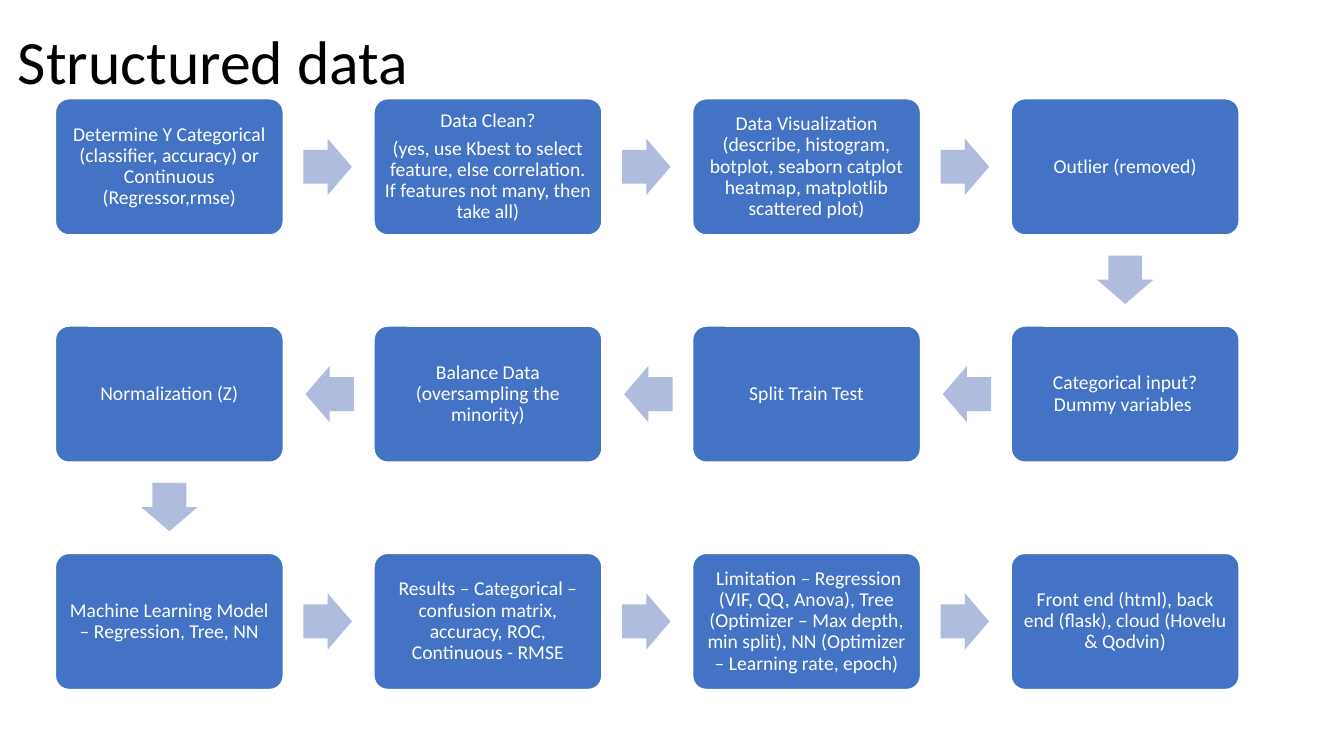
from dataclasses import dataclass

from pptx import Presentation
from pptx.dml.color import RGBColor
from pptx.enum.shapes import MSO_SHAPE
from pptx.enum.text import MSO_ANCHOR, PP_ALIGN
from pptx.slide import Slide
from pptx.text.text import TextFrame
from pptx.util import Inches, Pt

COLORS = {"title": "000000", "step": "4472C4", "arrow": "B0BCDE", "white": "FFFFFF"}
FONT = "Calibri"

# Grid of steps, in inches
LEFT, TOP = 0.55, 0.98
STEP_W, STEP_H = 2.26, 1.35
COLUMN_PITCH, ROW_PITCH = 3.16, 4.51 / 2
COLUMNS = 4
ARROW_W, ARROW_H = 0.48, 0.56
ARROW_REACH_X, ARROW_REACH_Y = 1.57, 1.12


@dataclass(frozen=True)
class Step:
    paragraphs: tuple[str, ...]


# Steps in reading order of the process
STEPS = [
    Step(("Determine Y Categorical (classifier, accuracy) or Continuous (Regressor,rmse)",)),
    Step(("Data Clean?",
          "(yes, use Kbest to select feature, else correlation. "
          "If features not many, then take all)")),
    Step(("Data Visualization (describe, histogram, botplot, seaborn catplot heatmap, "
          "matplotlib scattered plot)",)),
    Step(("Outlier (removed)",)),
    Step(("Categorical input? Dummy variables ",)),
    Step(("Split Train Test",)),
    Step(("Balance Data (oversampling the minority)",)),
    Step(("Normalization (Z)",)),
    Step(("Machine Learning Model – Regression, Tree, NN",)),
    Step(("Results – Categorical – confusion matrix, accuracy, ROC, Continuous - RMSE",)),
    Step((" Limitation – Regression (VIF, QQ, Anova), Tree (Optimizer – Max depth, min split), "
          "NN (Optimizer – Learning rate, epoch)",)),
    Step(("Front end (html), back end (flask), cloud (Hovelu & Qodvin)",)),
]


def rgb(name: str) -> RGBColor:
    return RGBColor.from_string(COLORS[name])


def write_text(frame: TextFrame, paragraphs: tuple[str, ...], *, size: float, color: str,
               align: PP_ALIGN = PP_ALIGN.LEFT, space_after: float = 0) -> None:
    frame.word_wrap = True
    frame.vertical_anchor = MSO_ANCHOR.MIDDLE
    for index, text in enumerate(paragraphs):
        paragraph = frame.add_paragraph() if index else frame.paragraphs[0]
        paragraph.alignment = align
        paragraph.line_spacing = 0.9
        paragraph.space_after = Pt(space_after)
        run = paragraph.add_run()
        run.text = text
        run.font.name = FONT
        run.font.size = Pt(size)
        run.font.color.rgb = rgb(color)


def step_center(index: int) -> tuple[float, float]:
    """Rows alternate direction, so the process snakes down the slide."""
    row, column = divmod(index, COLUMNS)
    if row % 2:
        column = COLUMNS - 1 - column
    return (LEFT + column * COLUMN_PITCH + STEP_W / 2,
            TOP + row * ROW_PITCH + STEP_H / 2)


def draw_step(slide: Slide, step: Step, index: int) -> None:
    x, y = step_center(index)
    box = slide.shapes.add_shape(
        MSO_SHAPE.ROUNDED_RECTANGLE, Inches(x - STEP_W / 2), Inches(y - STEP_H / 2),
        Inches(STEP_W), Inches(STEP_H))
    box.adjustments[0] = 0.1
    box.shadow.inherit = False
    box.fill.solid()
    box.fill.fore_color.rgb = rgb("step")
    box.line.color.rgb = rgb("white")
    box.line.width = Pt(1)
    frame = box.text_frame
    frame.margin_left = frame.margin_right = Inches(0.06)
    frame.margin_top = frame.margin_bottom = Inches(0.06)
    write_text(frame, step.paragraphs, size=14, color="white",
               align=PP_ALIGN.CENTER, space_after=4.9)


def draw_arrow(slide: Slide, index: int) -> None:
    """Draw the arrow from one step to the next."""
    x, y = step_center(index)
    row, column = divmod(index, COLUMNS)
    if column == COLUMNS - 1:
        y, rotation = y + ARROW_REACH_Y, 90
    elif row % 2:
        x, rotation = x - ARROW_REACH_X, 180
    else:
        x, rotation = x + ARROW_REACH_X, 0
    arrow = slide.shapes.add_shape(
        MSO_SHAPE.RIGHT_ARROW, Inches(x - ARROW_W / 2), Inches(y - ARROW_H / 2),
        Inches(ARROW_W), Inches(ARROW_H))
    arrow.adjustments[0] = 0.6
    arrow.adjustments[1] = 0.5
    arrow.rotation = rotation
    arrow.shadow.inherit = False
    arrow.fill.solid()
    arrow.fill.fore_color.rgb = rgb("arrow")
    arrow.line.fill.background()


def main() -> None:
    deck = Presentation()
    deck.slide_width, deck.slide_height = Inches(13.33), Inches(7.5)
    slide = deck.slides.add_slide(deck.slide_layouts[6])

    # Title
    title = slide.shapes.add_textbox(Inches(0.08), Inches(-0.12), Inches(4.29), Inches(1.52))
    write_text(title.text_frame, ("Structured data",), size=44, color="title")

    # Process
    for index, step in enumerate(STEPS):
        draw_step(slide, step, index)
        if index < len(STEPS) - 1:
            draw_arrow(slide, index)

    deck.save("out.pptx")


if __name__ == "__main__":
    main()
